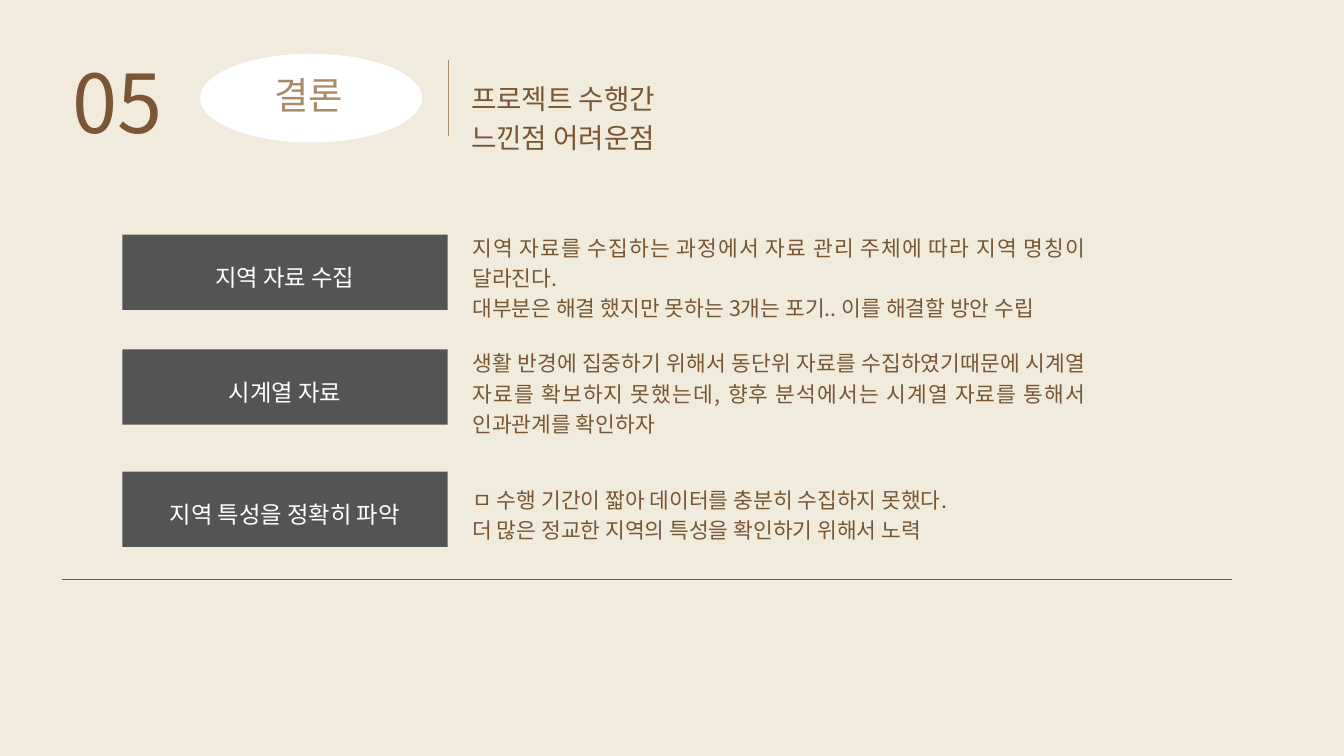
from lxml.etree import SubElement
from pptx import Presentation
from pptx.dml.color import RGBColor
from pptx.enum.shapes import MSO_CONNECTOR, MSO_SHAPE
from pptx.enum.text import MSO_ANCHOR, MSO_AUTO_SIZE, PP_ALIGN
from pptx.oxml.ns import qn
from pptx.util import Inches, Pt

FONT = "Noto Sans CJK KR"
PAPER, WHITE, GRAY, BROWN, TAN = "F1EBDE", "FFFFFF", "545454", "795635", "AB8A66"
NUMBER, SECTION = "05", "결론"
TITLE = "프로젝트 수행간 느낀점 어려운점"
LABEL_X, LABEL_W, LABEL_H = 1.82, 4.84, 1.12
NOTE_X, NOTE_W = 7.03, 9.13
ROWS = [
    (3.49, "지역 자료 수집", 3.43, [
        "지역 자료를 수집하는 과정에서 자료 관리 주체에 따라 지역 명칭이 달라진다.",
        "대부분은 해결 했지만 못하는 3개는 포기.. 이를 해결할 방안 수립"]),
    (5.2, "시계열 자료", 5.15, [
        "생활 반경에 집중하기 위해서 동단위 자료를 수집하였기때문에 시계열 자료를 "
        "확보하지 못했는데, 향후 분석에서는 시계열 자료를 통해서 인과관계를 확인하자"]),
    (7.02, "지역 특성을 정확히 파악", 7.18, [
        "ㅁ 수행 기간이 짧아 데이터를 충분히 수집하지 못했다.",
        "더 많은 정교한 지역의 특성을 확인하기 위해서 노력"]),
]
RULES = [((6.67, 0.9, 6.67, 2.02), TAN), ((0.92, 8.62, 18.33, 8.62), BROWN)]


def rgb(value):
    return RGBColor.from_string(value)


def write(sp, lines, size, color, leading, align=PP_ALIGN.LEFT,
          anchor=MSO_ANCHOR.TOP, inset=0, top=0):
    tf = sp.text_frame
    tf.word_wrap = True
    tf.auto_size = MSO_AUTO_SIZE.NONE
    tf.vertical_anchor = anchor
    tf.margin_left = tf.margin_right = tf.margin_bottom = Inches(inset)
    tf.margin_top = Inches(top)
    for i, line in enumerate(lines):
        p = tf.add_paragraph() if i else tf.paragraphs[0]
        p.alignment = align
        p.line_spacing = Pt(leading)
        p.space_before = p.space_after = Pt(0)
        r = p.add_run()
        r.text = line
        r.font.name = FONT
        r.font.size = Pt(size)
        r.font.color.rgb = rgb(color)
        SubElement(r.font._element, qn("a:ea"), typeface=FONT)


def add_filled(s, preset, box, color):
    sp = s.shapes.add_shape(preset, *map(Inches, box))
    sp.shadow.inherit = False
    sp.fill.solid()
    sp.fill.fore_color.rgb = rgb(color)
    sp.line.fill.background()
    return sp


def add_text(s, box, *args, **kwargs):
    write(s.shapes.add_textbox(*map(Inches, box)), *args, **kwargs)


def add_rule(s, ends, color):
    line = s.shapes.add_connector(MSO_CONNECTOR.STRAIGHT, *map(Inches, ends))
    line.line.color.rgb = rgb(color)
    line.line.width = Pt(1.5)
    SubElement(line._element.spPr, qn("a:effectLst"))


def main():
    """Build the conclusion slide: header, three labelled findings and rules."""
    prs = Presentation()
    prs.slide_width, prs.slide_height = Inches(20), Inches(11.25)
    s = prs.slides.add_slide(prs.slide_layouts[5])
    s.background.fill.solid()
    s.background.fill.fore_color.rgb = rgb(PAPER)

    title = s.shapes.title
    title.left, title.top, title.width, title.height = map(Inches, (7.01, 1.14, 3.97, 1.11))
    write(title, [TITLE], 29.6, BROWN, 41.5)
    add_filled(s, MSO_SHAPE.OVAL, (2.98, 0.8, 3.3, 1.32), WHITE)
    add_text(s, (1.08, 0.54, 1.51, 1.58), [NUMBER], 87, BROWN, 121.9)
    add_text(s, (3.68, 1.2, 1.83, 0.55), [SECTION], 40, TAN, 39.3, PP_ALIGN.CENTER)

    for label_y, label, note_y, notes in ROWS:
        sp = add_filled(s, MSO_SHAPE.RECTANGLE, (LABEL_X, label_y, LABEL_W, LABEL_H), GRAY)
        write(sp, [label], 25, WHITE, 35, PP_ALIGN.CENTER, MSO_ANCHOR.MIDDLE, 0.06, 0.13)
        add_text(s, (NOTE_X, note_y, NOTE_W, 1.31), notes, 23, BROWN, 32.3, PP_ALIGN.JUSTIFY)

    for ends, color in RULES:
        add_rule(s, ends, color)
    prs.save("out.pptx")


if __name__ == "__main__":
    main()
